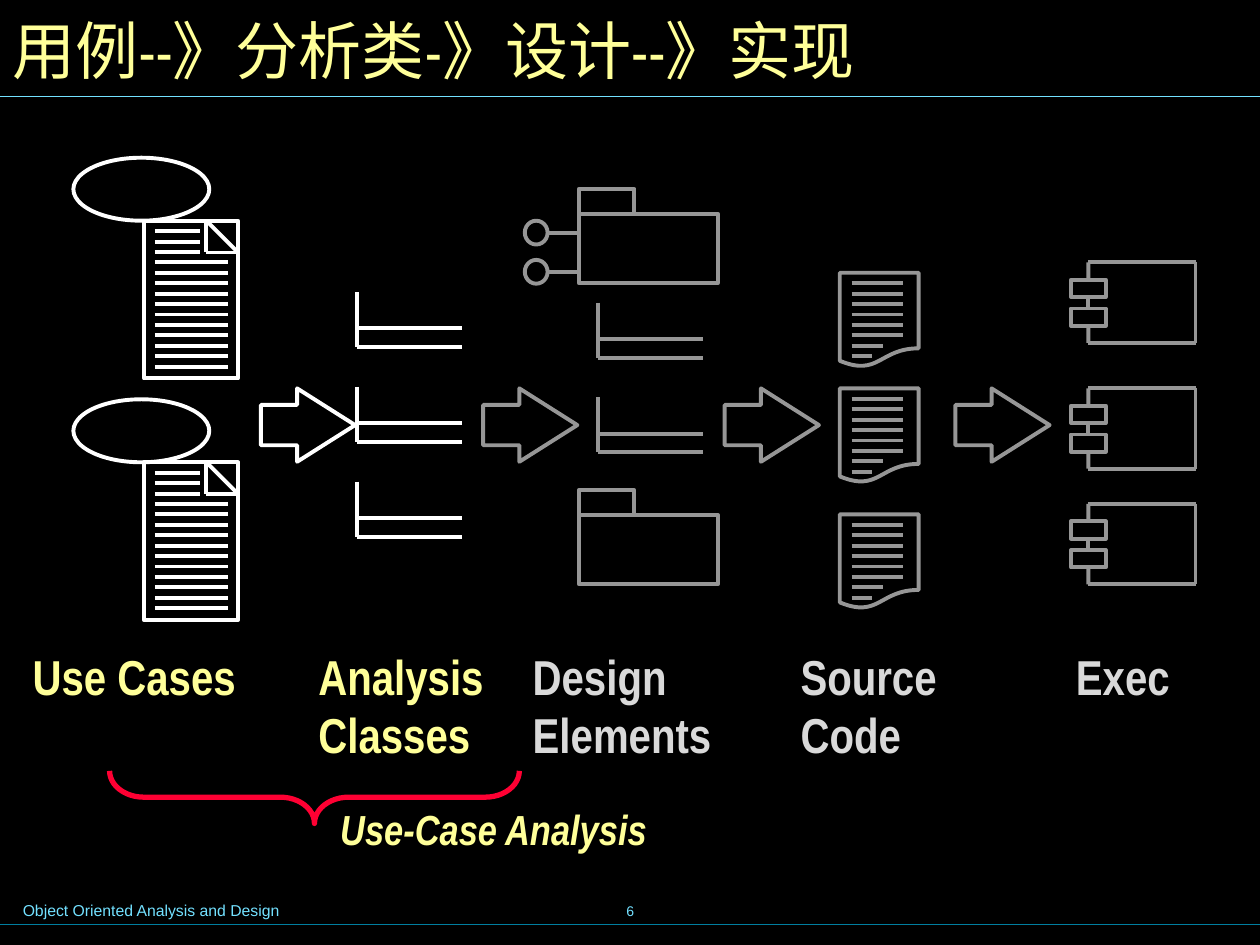
from dataclasses import dataclass
from typing import Callable

from lxml import etree
from pptx import Presentation
from pptx.dml.color import RGBColor
from pptx.enum.shapes import MSO_CONNECTOR, MSO_SHAPE
from pptx.enum.text import MSO_ANCHOR, MSO_AUTO_SIZE, PP_ALIGN
from pptx.oxml.ns import qn
from pptx.util import Cm, Pt

BLACK = RGBColor(0x00, 0x00, 0x00)
WHITE = RGBColor(0xFF, 0xFF, 0xFF)
GRAY = RGBColor(0x96, 0x96, 0x96)
PALE_GRAY = RGBColor(0xD9, 0xD9, 0xD9)
YELLOW = RGBColor(0xFF, 0xFF, 0x99)
SKY = RGBColor(0x73, 0xE1, 0xFF)
TEAL = RGBColor(0x00, 0x7E, 0x9F)
RED = RGBColor(0xFF, 0x00, 0x33)

STRAIGHT = MSO_CONNECTOR.STRAIGHT
RECTANGLE = MSO_SHAPE.RECTANGLE
OVAL = MSO_SHAPE.OVAL
ARROW = MSO_SHAPE.RIGHT_ARROW
DOCUMENT = MSO_SHAPE.FLOWCHART_DOCUMENT
BRACE = MSO_SHAPE.LEFT_BRACE
ALIGN_LEFT, ALIGN_CENTER = PP_ALIGN.LEFT, PP_ALIGN.CENTER
ANCHOR_TOP, ANCHOR_MIDDLE = MSO_ANCHOR.TOP, MSO_ANCHOR.MIDDLE
FIXED_SIZE = MSO_AUTO_SIZE.NONE
TOP_SIDE, BOTTOM_SIDE = 0, 2

SLIDE_WIDTH, SLIDE_HEIGHT = 25.4, 19.05
LINE_PITCH = 0.21
ICON_PEN = 2.25
NARROW = "Arial Narrow"


@dataclass(frozen=True)
class Icon:
    draw: Callable
    left: float
    top: float
    color: RGBColor


@dataclass(frozen=True)
class Label:
    text: str
    left: float
    width: float
    height: float
    color: RGBColor


def outline(shapes, kind, left: float, top: float, width: float, height: float,
            color: RGBColor, pen: float = ICON_PEN):
    shape = shapes.add_shape(kind, Cm(left), Cm(top), Cm(width), Cm(height))
    shape.shadow.inherit = False
    shape.fill.background()
    shape.line.color.rgb = color
    shape.line.width = Pt(pen)
    return shape


def stroke(shapes, x1: float, y1: float, x2: float, y2: float,
           color: RGBColor, pen: float = ICON_PEN):
    connector = shapes.add_connector(STRAIGHT, Cm(x1), Cm(y1), Cm(x2), Cm(y2))
    connector.line.color.rgb = color
    connector.line.width = Pt(pen)
    etree.SubElement(connector._element.spPr, qn("a:effectLst"))
    return connector


def write(frame, text: str, *, size: float, color: RGBColor, font: str = NARROW,
          bold: bool = False, italic: bool = False, align=ALIGN_LEFT,
          anchor=ANCHOR_TOP) -> None:
    frame.text = text
    frame.word_wrap = True
    frame.auto_size = FIXED_SIZE
    frame.vertical_anchor = anchor
    for paragraph in frame.paragraphs:
        paragraph.alignment = align
        for run in paragraph.runs:
            run.font.name = font
            run.font.size = Pt(size)
            run.font.bold = bold
            run.font.italic = italic
            run.font.color.rgb = color


def text_box(shapes, left: float, top: float, width: float, height: float):
    return shapes.add_textbox(Cm(left), Cm(top), Cm(width), Cm(height)).text_frame


def text_lines(shapes, left: float, top: float, lengths: list[float],
               color: RGBColor) -> None:
    for row, length in enumerate(lengths, start=1):
        y = top + row * LINE_PITCH
        stroke(shapes, left, y, left + length, y, color)


def use_case(shapes, left: float, top: float, color: RGBColor) -> None:
    outline(shapes, OVAL, left, top, 2.74, 1.27, color)
    page_left, page_top, page_width, fold = left + 1.42, top + 1.27, 1.9, 0.64
    outline(shapes, RECTANGLE, page_left, page_top, page_width, 3.18, color)
    page_right = page_left + page_width
    fold_left, fold_bottom = page_right - fold, page_top + fold
    stroke(shapes, fold_left, page_top, page_right, fold_bottom, color)
    stroke(shapes, fold_left, page_top, fold_left, fold_bottom, color)
    stroke(shapes, fold_left, fold_bottom, page_right, fold_bottom, color)
    text_lines(shapes, page_left + 0.22, page_top, [0.92] * 3 + [1.48] * 11, color)


def class_box(shapes, left: float, top: float, color: RGBColor) -> None:
    stroke(shapes, left, top, left, top + 1.11, color)
    for drop in (0.73, 1.11):
        stroke(shapes, left, top + drop, left + 2.12, top + drop, color)


def package(shapes, left: float, top: float, color: RGBColor) -> None:
    outline(shapes, RECTANGLE, left, top, 1.12, 0.5, color)
    outline(shapes, RECTANGLE, left, top + 0.5, 2.8, 1.4, color)


def interface_package(shapes, left: float, top: float, color: RGBColor) -> None:
    package(shapes, left, top, color)
    for drop in (0.64, 1.43):
        outline(shapes, OVAL, left - 1.09, top + drop, 0.46, 0.48, color)
        y = top + drop + 0.24
        stroke(shapes, left - 0.63, y, left, y, color)


def source_file(shapes, left: float, top: float, color: RGBColor) -> None:
    outline(shapes, DOCUMENT, left, top, 1.59, 1.9, color)
    text_lines(shapes, left + 0.24, top, [1.03] * 6 + [0.63, 0.4], color)


def component(shapes, left: float, top: float, color: RGBColor) -> None:
    edge, right, bottom = left + 0.35, left + 2.51, top + 1.62
    stroke(shapes, edge, top, right, top, color)
    stroke(shapes, right, top, right, bottom, color)
    stroke(shapes, edge, bottom, right, bottom, color)
    upper, lower = (outline(shapes, RECTANGLE, left, top + drop, 0.7, 0.35, color)
                    for drop in (0.35, 0.93))
    stroke(shapes, edge, top, edge, top + 0.35, color).end_connect(upper, TOP_SIDE)
    link = stroke(shapes, edge, top + 0.7, edge, top + 0.93, color)
    link.begin_connect(upper, BOTTOM_SIDE)
    link.end_connect(lower, TOP_SIDE)
    stroke(shapes, edge, top + 1.28, edge, bottom, color).begin_connect(lower, BOTTOM_SIDE)


def step_arrow(shapes, left: float, top: float, color: RGBColor) -> None:
    arrow = outline(shapes, ARROW, left, top, 1.9, 1.48, color)
    arrow.adjustments[0], arrow.adjustments[1] = 0.55, 0.79


ICONS = [
    *(Icon(use_case, 1.48, top, WHITE) for top in (3.18, 8.05)),
    *(Icon(class_box, 7.2, 5.89 + row * 1.91, WHITE) for row in range(3)),
    Icon(interface_package, 11.67, 3.81, GRAY),
    *(Icon(class_box, 12.06, 6.1 + row * 1.91, GRAY) for row in range(2)),
    Icon(package, 11.67, 9.88, GRAY),
    *(Icon(source_file, 16.93, top, GRAY) for top in (5.5, 7.83, 10.37)),
    *(Icon(component, 21.59, top, GRAY) for top in (5.29, 7.83, 10.16)),
]
ARROWS = [Icon(step_arrow, left, 7.83, color) for left, color in
          ((5.26, WHITE), (9.74, GRAY), (14.61, GRAY), (19.26, GRAY))]
LABELS = [
    Label("Use Cases", 0.41, 5.2, 1.45, YELLOW),
    Label("Analysis\vClasses", 6.17, 4.2, 2.64, YELLOW),
    Label("Design\vElements", 10.49, 5.2, 2.64, PALE_GRAY),
    Label("Source\nCode", 15.89, 4.2, 2.64, PALE_GRAY),
    Label("Exec", 21.44, 3.2, 1.45, PALE_GRAY),
]


def main() -> None:
    deck = Presentation()
    deck.slide_width, deck.slide_height = Cm(SLIDE_WIDTH), Cm(SLIDE_HEIGHT)
    slide = deck.slides.add_slide(deck.slide_layouts[5])
    slide.background.fill.solid()
    slide.background.fill.fore_color.rgb = BLACK
    shapes = slide.shapes

    title = shapes.title
    title.left, title.top, title.width, title.height = Cm(0), Cm(0), Cm(25.22), Cm(1.98)
    write(title.text_frame, "用例--》分析类-》设计--》实现", size=36, color=YELLOW,
          anchor=ANCHOR_MIDDLE)
    for y, color in ((1.94, SKY), (18.63, TEAL)):
        stroke(shapes, 0, y, SLIDE_WIDTH, y, color, 0.75)

    for icon in ICONS:
        icon.draw(shapes.add_group_shape().shapes, icon.left, icon.top, icon.color)
    for arrow in ARROWS:
        arrow.draw(shapes, arrow.left, arrow.top, arrow.color)
    for label in LABELS:
        write(text_box(shapes, label.left, 12.9, label.width, label.height),
              label.text, size=28, color=label.color, bold=True)

    brace = outline(shapes, BRACE, 5.81, 11.94, 1.06, 8.26, RED, 3)
    brace.rotation = 270
    brace.adjustments[0] = 0.65
    phase = text_box(shapes, 6.56, 16.05, 8.26, 1.32)
    phase.margin_left = phase.margin_right = Cm(0.3)
    phase.margin_top = phase.margin_bottom = Cm(0.15)
    write(phase, "Use-Case Analysis", size=24, color=YELLOW, bold=True, italic=True)

    write(text_box(shapes, 0.21, 18.03, 12.95, 0.64), "Object Oriented Analysis and Design",
          size=9, color=SKY, font="Arial")
    write(text_box(shapes, 8.68, 17.73, 8.05, 1.27), "6", size=8, color=SKY, font="Arial",
          align=ALIGN_CENTER, anchor=ANCHOR_MIDDLE)
    deck.save("out.pptx")


if __name__ == "__main__":
    main()
